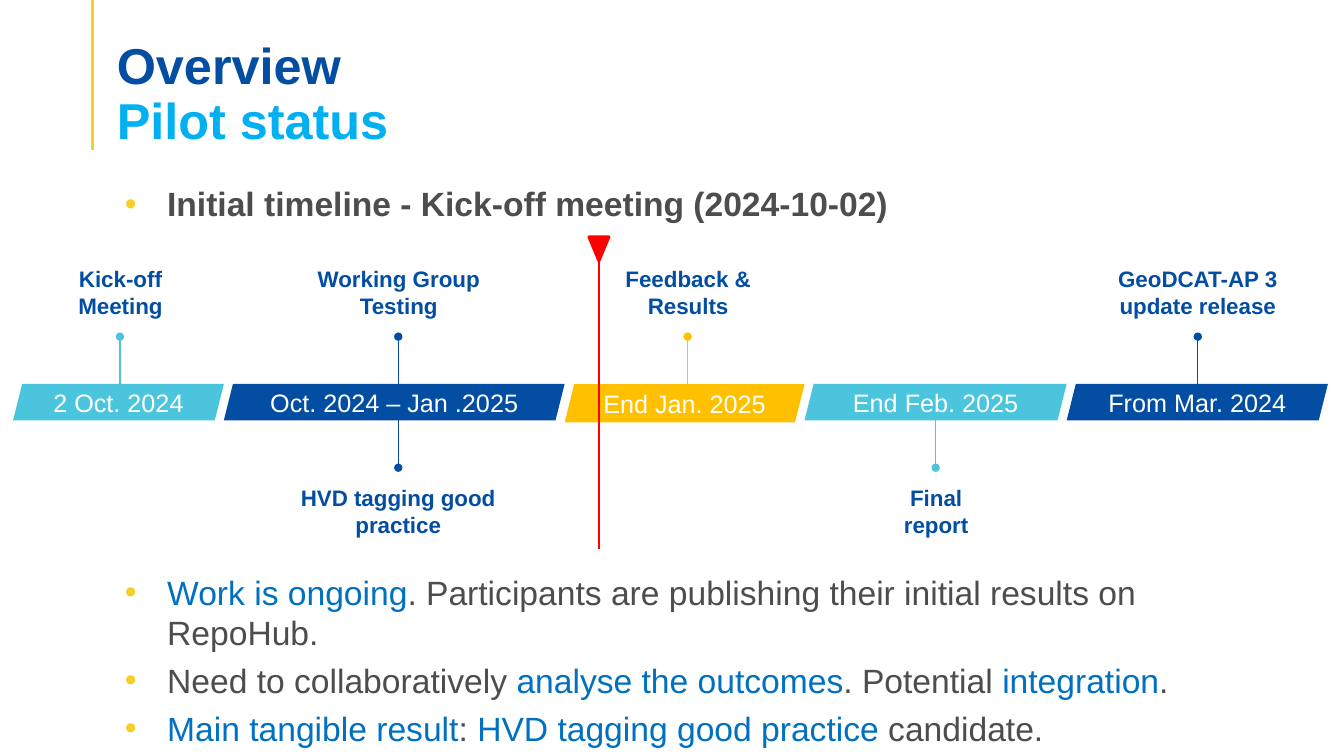
import dataclasses

import lxml.etree
import pptx
import pptx.dml.color
import pptx.enum.shapes
import pptx.enum.text
import pptx.oxml.ns
import pptx.util

SHAPE = pptx.enum.shapes.MSO_SHAPE
ANCHOR = pptx.enum.text.MSO_ANCHOR
ALIGN = pptx.enum.text.PP_ALIGN


@dataclasses.dataclass(frozen=True)
class Theme:
    font: str = "Arial"
    navy: str = "034EA2"
    sky: str = "00B0F0"
    teal: str = "4BC5DE"
    amber: str = "FFC000"
    gold: str = "F8CC29"
    red: str = "FF0000"
    grey: str = "4D4D4D"
    link: str = "0070C0"
    white: str = "FFFFFF"
    title_size: int = 36
    body_size: int = 24
    date_size: int = 18
    label_size: int = 16


def px(length):
    return pptx.util.Emu(length * 9144)


def rgb(colour):
    return pptx.dml.color.RGBColor.from_string(colour)


def add_xml(parent, tag, **attributes):
    return lxml.etree.SubElement(parent, pptx.oxml.ns.qn(tag), attributes)


class TimelineSlide:
    """Draws styled elements on one slide, with lengths in px."""

    def __init__(self, slide, theme):
        self.shapes = slide.shapes
        self.theme = theme

    def style(self, run, size, colour, bold=False):
        run.font.name = self.theme.font
        run.font.size = pptx.util.Pt(size)
        run.font.color.rgb = rgb(colour)
        run.font.bold = bold

    def text_box(self, left, top, width, height, anchor):
        frame = self.shapes.add_textbox(px(left), px(top), px(width), px(height)).text_frame
        frame.word_wrap = True
        frame.vertical_anchor = anchor
        return frame

    def title(self, first, second):
        frame = self.text_box(106, 63, 1122, 86, ANCHOR.BOTTOM)
        frame.margin_bottom = 0
        frame.text = f"{first}\v{second}"
        heading = frame.paragraphs[0]
        heading.line_spacing = 0.9
        for run, colour in zip(heading.runs, (self.theme.navy, self.theme.sky)):
            self.style(run, self.theme.title_size, colour, True)

    def bullets(self, top, height, lines, bold=False):
        frame = self.text_box(106, top, 1183, height, ANCHOR.TOP)
        for index, line in enumerate(lines):
            item = frame.add_paragraph() if index else frame.paragraphs[0]
            item.space_before = pptx.util.Pt(3)
            item.space_after = pptx.util.Pt(2.4)
            properties = item._p.get_or_add_pPr()
            properties.set("marL", str(px(50)))
            properties.set("indent", str(px(-42)))
            bullet_colour = add_xml(properties, "a:buClr")
            add_xml(bullet_colour, "a:srgbClr", val=self.theme.gold)
            add_xml(properties, "a:buFont", typeface=self.theme.font)
            add_xml(properties, "a:buChar", char="•")
            for position, part in enumerate(line.split("*")):
                if part:
                    run = item.add_run()
                    run.text = part
                    colour = self.theme.link if position % 2 else self.theme.grey
                    self.style(run, self.theme.body_size, colour, bold)

    def shape(self, kind, left, top, width, height, colour):
        shape = self.shapes.add_shape(kind, px(left), px(top), px(width), px(height))
        shape.shadow.inherit = False
        shape.fill.solid()
        shape.fill.fore_color.rgb = rgb(colour)
        shape.line.fill.background()
        return shape

    def period(self, left, width, height, date, colour):
        bar = self.shape(SHAPE.PARALLELOGRAM, left, 381, width, height, colour)
        bar.text_frame.text = date
        bar.text_frame.vertical_anchor = ANCHOR.MIDDLE
        paragraph = bar.text_frame.paragraphs[0]
        paragraph.alignment = ALIGN.CENTER
        self.style(paragraph.runs[0], self.theme.date_size, self.theme.white)

    def line(self, x, start, end, colour, weight, dot=False):
        line = self.shapes.add_connector(
            pptx.enum.shapes.MSO_CONNECTOR.STRAIGHT, px(x), px(start), px(x), px(end))
        line.line.color.rgb = rgb(colour)
        line.line.width = pptx.util.Pt(weight)
        if dot:
            add_xml(line.line._get_or_add_ln(), "a:tailEnd", type="oval")
        add_xml(line._element.spPr, "a:effectLst")

    def milestone(self, centre, width, above, label, colour):
        start, end, top = (381, 334, 257) if above else (416, 464, 475)
        self.line(centre, start, end, colour, 1, dot=True)
        frame = self.text_box(centre - width // 2, top, width, 64, ANCHOR.BOTTOM)
        frame.text = label
        paragraph = frame.paragraphs[0]
        paragraph.alignment = ALIGN.CENTER
        self.style(paragraph.runs[0], self.theme.label_size, self.theme.navy, True)

    def today_marker(self, x):
        self.line(x, 252, 545, self.theme.red, 1.75)
        pointer = self.shape(SHAPE.ISOSCELES_TRIANGLE, x - 10, 235, 20, 24, self.theme.red)
        pointer.rotation = 180
        pointer.line.color.rgb = rgb(self.theme.red)
        pointer.line.width = pptx.util.Pt(2)


def main():
    theme = Theme()
    deck = pptx.Presentation()
    deck.slide_width, deck.slide_height = px(1333), px(750)
    overview = TimelineSlide(deck.slides.add_slide(deck.slide_layouts[6]), theme)

    overview.line(92, 0, 149, theme.gold, 2.25)
    overview.title("Overview", "Pilot status")
    overview.bullets(177, 50, ["Initial timeline - Kick-off meeting (2024-10-02)"], bold=True)
    overview.bullets(562, 150, [
        "*Work is ongoing*. Participants are publishing their initial results on RepoHub.",
        "Need to collaboratively *analyse the outcomes*. Potential *integration*.",
        "*Main tangible result*: *HVD tagging good practice* candidate.",
    ])

    left = 13
    for width, height, date, colour in (
        (209, 36, "2 Oct. 2024", theme.teal),
        (338, 36, "Oct. 2024 – Jan .2025", theme.navy),
        (238, 38, "End Jan. 2025", theme.amber),
        (260, 36, "End Feb. 2025", theme.teal),
        (259, 36, "From Mar. 2024", theme.navy),
    ):
        overview.period(left, width, height, date, colour)
        left += width

    for centre, width, above, label, colour in (
        (119, 135, True, "Kick-off Meeting", theme.teal),
        (395, 193, True, "Working Group Testing", theme.navy),
        (395, 224, False, "HVD tagging good practice", theme.navy),
        (682, 145, True, "Feedback & Results", theme.amber),
        (928, 111, False, "Final report", theme.teal),
        (1188, 224, True, "GeoDCAT-AP 3 update release", theme.navy),
    ):
        overview.milestone(centre, width, above, label, colour)

    overview.today_marker(594)
    deck.save("out.pptx")


if __name__ == "__main__":
    main()
